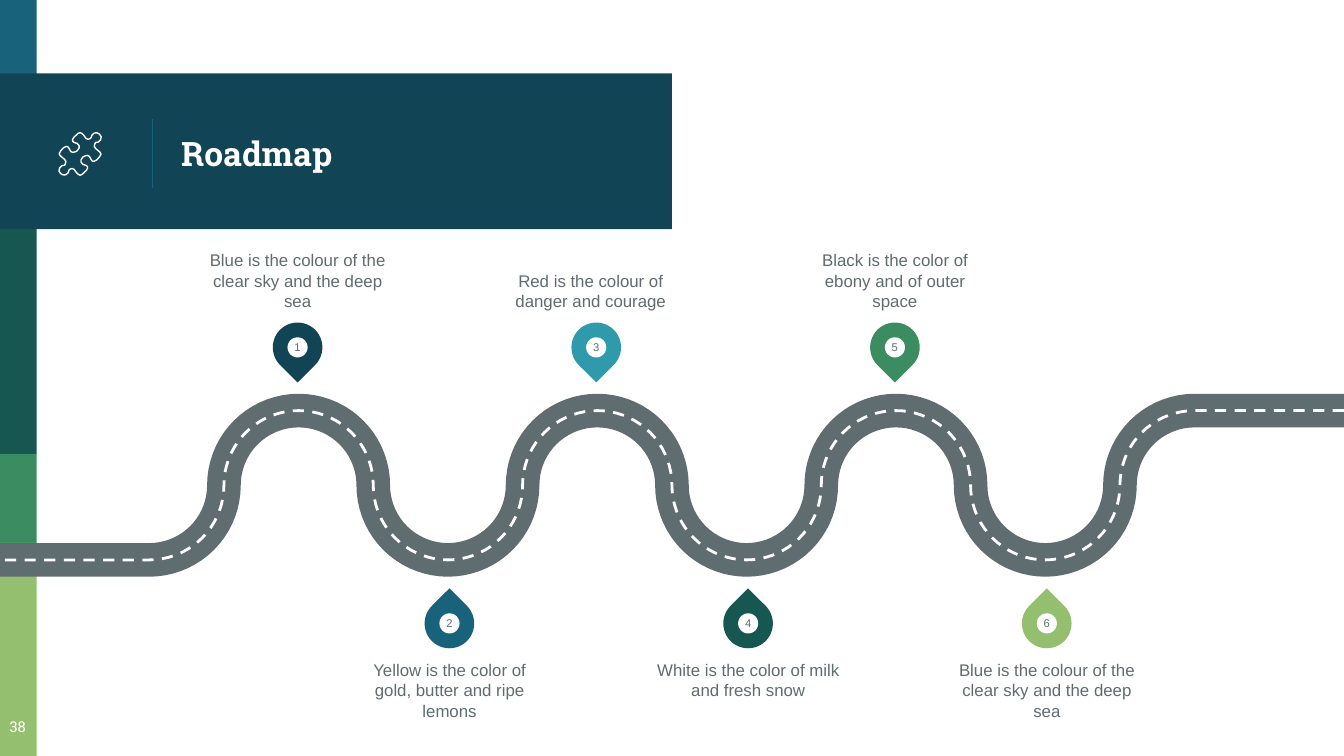
from math import cos, radians, sin

from lxml import etree
from pptx import Presentation, util as u
from pptx.dml.color import RGBColor
from pptx.enum import dml, shapes, text
from pptx.oxml import ns

COLORS = {
    "navy": "114454", "blue": "18637B", "teal": "309AAD", "pine": "165751",
    "green": "3B8D61", "lime": "94BF6E", "gray": "5F6C70", "white": "FFFFFF",
}
SERIF, SANS = "Roboto Slab", "Arial"
BAR_WIDTH = 19.6

# Left edge and banner: top, width, height, color
BANDS = [
    (0, BAR_WIDTH, 41.8, "blue"),
    (39.4, 360, 83.4, "navy"),
    (122.6, BAR_WIDTH, 120.8, "pine"),
    (243.2, BAR_WIDTH, 47.8, "green"),
    (290.8, BAR_WIDTH, 114.2, "lime"),
]

# Road geometry: bends of one radius, centered at equal steps
RADIUS, STEP, ROAD_MIDDLE, BENDS = 40, 80, 260, 8

# Milestones in order: color, caption, caption shift
MILESTONES = [
    ("navy", "Blue is the colour of the clear sky and the deep sea", 0),
    ("blue", "Yellow is the color of gold, butter and ripe lemons", 0),
    ("teal", "Red is the colour of danger and courage", -3),
    ("pine", "White is the color of milk and fresh snow", 0),
    ("green", "Black is the color of ebony and of outer space", 0),
    ("lime", "Blue is the colour of the clear sky and the deep sea", 0),
]
PIN, DOT = 26.6, 10.8
CAPTION_WIDTH, CAPTION_HEIGHT = 101.5, 41.8

# Half of the puzzle piece, as offsets from its center
PUZZLE_CENTER = (42.9, 82.5)
PUZZLE_HALF = [
    (8.3, -6.1), (9.7, -6.3), (11, -7.6), (11.3, -9.2), (10.4, -10.6),
    (9, -11.3), (7.6, -11.2), (6.3, -10), (6, -8.8), (5.4, -8.2),
    (4.3, -7.8), (3.2, -8.3), (1.8, -10.2), (0.9, -11), (0, -11.4),
    (-1.1, -11), (-3.2, -9), (-4, -7.8), (-4, -6.8), (-3.1, -6.1),
    (-1.5, -5.6), (-0.5, -4.4), (-0.5, -3.2), (-1.5, -1.7), (-2.6, -1.1),
    (-4, -0.8), (-5, -1.3), (-5.8, -2.8), (-6.5, -3.8), (-7.5, -4),
    (-9, -3.2), (-10.5, -1.5), (-11.2, -0.1), (-10.6, 1), (-8.3, 2.9),
    (-7.6, 4.1), (-7.9, 5.4),
]


def rgb(color):
    return RGBColor.from_string(COLORS[color])


def apply(target, values):
    for name, value in values.items():
        setattr(target, name, value)


def box(left, top, width, height):
    return [u.Pt(value) for value in (left, top, width, height)]


def add_filled(parent, kind, bounds, color):
    shape = parent.shapes.add_shape(kind, *box(*bounds))
    shape.shadow.inherit = False
    shape.fill.solid()
    shape.fill.fore_color.rgb = rgb(color)
    shape.line.fill.background()
    return shape


def write(shape, words, color, font, align=text.PP_ALIGN.CENTER,
          anchor=text.MSO_ANCHOR.TOP, inset=0):
    margins = {f"margin_{side}": u.Pt(inset)
               for side in ("left", "top", "right", "bottom")}
    apply(shape.text_frame,
          {"word_wrap": True, "vertical_anchor": anchor, **margins})
    paragraph = shape.text_frame.paragraphs[0]
    paragraph.alignment = align
    run = paragraph.add_run()
    run.text = words
    apply(run.font, font)
    run.font.color.rgb = rgb(color)


def add_text(slide, bounds, *content, **layout):
    write(slide.shapes.add_textbox(*box(*bounds)), *content, **layout)


def add_outline(slide, points, color, width, closed=False, dash=None):
    start, *others = [(u.Pt(x), u.Pt(y)) for x, y in points]
    builder = slide.shapes.build_freeform(*start, scale=1.0)
    builder.add_line_segments(others, close=closed)
    shape = builder.convert_to_shape()
    shape.shadow.inherit = False
    shape.fill.background()
    shape.line.color.rgb = rgb(color)
    apply(shape.line, {"width": u.Pt(width), "dash_style": dash})


def add_divider(slide, x, top, bottom):
    line = slide.shapes.add_connector(
        shapes.MSO_CONNECTOR.STRAIGHT, *box(x, top, x, bottom))
    line.line.color.rgb = rgb("blue")
    line.line.width = u.Pt(0.75)
    etree.SubElement(line._element.spPr, ns.qn("a:effectLst"))


def road_points():
    """Centerline from the right edge to the left edge."""
    points = [(0, ROAD_MIDDLE + RADIUS)]
    for bend in range(1, BENDS + 1):
        side = 1 if bend % 2 else -1
        first = 90 if bend == 1 else 0
        last = 90 if bend == BENDS else 180
        for degrees in range(first, last + 1, 5):
            angle = radians(degrees)
            points.append((STEP * bend - RADIUS * cos(angle),
                           ROAD_MIDDLE + side * RADIUS * sin(angle)))
    points.append((720, ROAD_MIDDLE - RADIUS))
    return points[::-1]


def puzzle_points():
    """The second half is the first one turned by 180 degrees."""
    x, y = PUZZLE_CENTER
    return [(x + turn * dx, y + turn * dy)
            for turn in (1, -1) for dx, dy in PUZZLE_HALF]


def add_pin(slide, number, x, y, color, rotation):
    group = slide.shapes.add_group_shape()
    drop = add_filled(group, shapes.MSO_SHAPE.TEAR,
                      (x - PIN / 2, y - PIN / 2, PIN, PIN), color)
    drop.rotation = rotation
    dot = add_filled(group, shapes.MSO_SHAPE.OVAL,
                     (x - DOT / 2, y - DOT / 2, DOT, DOT), "white")
    write(dot, str(number), "gray", {"size": u.Pt(6), "name": SANS},
          anchor=text.MSO_ANCHOR.MIDDLE)


def add_milestone(slide, number, color, caption, shift):
    x = STEP * (number + 1)
    if number % 2:  # above the road
        x, y, rotation, top = x - 0.6, 186.1, 135, 124.6
        anchor = text.MSO_ANCHOR.BOTTOM
    else:  # below the road
        x, y, rotation, top = x + 0.8, 334, 315, 353.5
        anchor = text.MSO_ANCHOR.TOP
    add_pin(slide, number, x, y, color, rotation)
    bounds = (x - CAPTION_WIDTH / 2 + shift, top, CAPTION_WIDTH, CAPTION_HEIGHT)
    add_text(slide, bounds, caption, "gray",
             {"size": u.Pt(9), "name": SANS}, anchor=anchor)


def main():
    presentation = Presentation()
    apply(presentation, {"slide_width": u.Pt(720), "slide_height": u.Pt(405)})
    slide = presentation.slides.add_slide(presentation.slide_layouts[6])

    # Side bar and banner
    for top, width, height, color in BANDS:
        add_filled(slide, shapes.MSO_SHAPE.RECTANGLE,
                   (0, top, width, height), color)
    add_divider(slide, 81.6, 64, 100.6)
    add_text(slide, (90, 41.8, 252.7, 80.6), "Roadmap", "white",
             {"size": u.Pt(18), "name": SERIF, "bold": True},
             align=text.PP_ALIGN.LEFT, anchor=text.MSO_ANCHOR.MIDDLE, inset=7.2)
    add_text(slide, (-4.2, 379.6, 27.4, 25.4), "38", "white",
             {"size": u.Pt(8), "name": SERIF}, inset=7.2)

    # Road with its lane marking
    road = road_points()
    add_outline(slide, road, "gray", 18)
    add_outline(slide, road, "white", 1.5, dash=dml.MSO_LINE.DASH)

    # Milestones
    for number, milestone in enumerate(MILESTONES, 1):
        add_milestone(slide, number, *milestone)

    # Banner icon
    add_outline(slide, puzzle_points(), "white", 0.75, closed=True)

    presentation.save("out.pptx")


if __name__ == "__main__":
    main()
